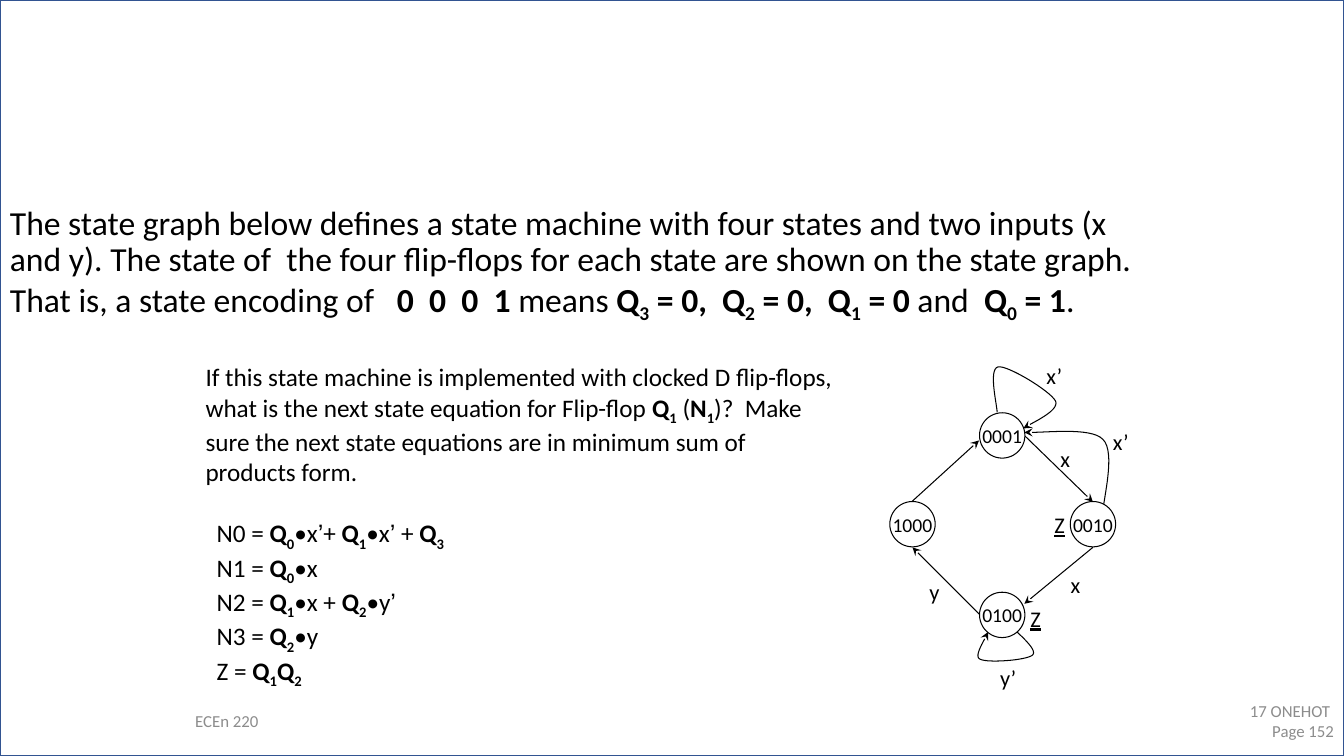
from itertools import groupby
from lxml import etree
from pptx import Presentation
from pptx.dml.color import RGBColor
from pptx.enum import shapes, text
from pptx.oxml import ns
from pptx.util import Inches, Pt

COLORS = {"ink": "000000", "paper": "FFFFFF", "footer": "8C8C8C", "frame": "325491"}
FONT, PRIME_FONT = "Calibri", "Arial"

# Markup: *bold*, and _ puts the next character in subscript
INTRO = ("The state graph below defines a state machine with four states and two inputs "
         "(x and y). The state of  the four flip-flops for each state are shown on the "
         "state graph. That is, a state encoding of   *0  0  0  1 *means "
         "*Q_3 = 0,  Q_2 = 0,  Q_1 = 0* and  *Q_0 = 1*.")
QUESTION = ("If this state machine is implemented with clocked D flip-flops, what is the next "
            "state equation for Flip-flop *Q_1* (*N_1*)?  Make sure the next state equations "
            "are in minimum sum of products form.")
EQUATIONS = [
    "N0 = *Q_0*•x’+ *Q_1*•x’ + *Q_3*",
    "N1 = *Q_0*•x",
    "N2 = *Q_1*•x + *Q_2*•y’",
    "N3 = *Q_2*•y",
    "Z = *Q_1Q_2*",
]

# State graph: circle centres, straight arrows, and Bezier arrows (start, then triples)
DIAMETER = 0.45
STATES = {"0001": (9.94, 4.32), "0010": (10.84, 5.2),
          "0100": (9.94, 6.1), "1000": (9.05, 5.2)}
ARROWS = [
    ((10.16, 4.32), (10.84, 4.98)),
    ((10.84, 5.43), (10.16, 5.99)),
    ((9.72, 6.1), (9.05, 5.43)),
    ((9.04, 4.98), (9.71, 4.37)),
]
CURVES = [
    [(10.07, 6.25), (10.1, 6.29), (10.3, 6.45), (10.24, 6.5), (10.18, 6.55),
     (9.8, 6.58), (9.72, 6.54), (9.65, 6.51), (9.78, 6.33), (9.8, 6.27)],
    [(10.94, 5.08), (10.94, 4.96), (11.07, 4.49), (10.94, 4.36),
     (10.82, 4.23), (10.33, 4.3), (10.16, 4.29)],
    [(9.89, 4.09), (9.89, 4.02), (9.8, 3.66), (9.9, 3.64), (9.99, 3.62),
     (10.42, 3.88), (10.47, 3.98), (10.51, 4.08), (10.22, 4.2), (10.15, 4.25)],
]
LABELS = [  # text, left, top, width
    ("x", 10.52, 5.62, 0.3), ("x", 10.42, 4.37, 0.3), ("y", 9.12, 5.69, 0.3),
    ("x’", 10.28, 3.54, 0.36), ("x’", 10.94, 4.2, 0.36), ("y’", 9.82, 6.54, 0.37),
    ("Z", 10.12, 5.95, 0.31), ("Z", 10.36, 5.02, 0.31),
]
FOOTERS = [  # lines, left, width, alignment
    (["ECEn 220"], 0, 4.5, text.PP_ALIGN.CENTER),
    (["17 ONEHOT ", "Page 152"], 10.33, 3, text.PP_ALIGN.RIGHT),
]

presentation = Presentation()
presentation.slide_width, presentation.slide_height = Inches(13.33), Inches(7.5)
slide = presentation.slides.add_slide(presentation.slide_layouts[6])


def rgb(name):
    return RGBColor.from_string(COLORS[name])


def style_font(paragraph, size, color="ink"):
    paragraph.font.name, paragraph.font.size = FONT, Pt(size)
    paragraph.font.color.rgb = rgb(color)


def add_rich_text(paragraph, markup, size, prime_font=FONT):
    """Write the markup as runs that share bold, subscript and font."""
    style_font(paragraph, size)
    styled, bold, subscript = [], False, False
    for char in markup:
        if char == "*":
            bold = not bold
        elif char == "_":
            subscript = True
        else:
            font_name = prime_font if char == "’" else FONT
            styled.append((char, (bold, subscript, font_name)))
            subscript = False
    for (bold, subscript, font_name), group in groupby(styled, key=lambda item: item[1]):
        run = paragraph.add_run()
        run.text = "".join(char for char, _ in group)
        run.font.bold = bold
        run.font.name = font_name
        if subscript:
            run.font._element.set("baseline", "-25000")


def add_text_frame(left, top, width, height, wrap=True):
    box = slide.shapes.add_textbox(Inches(left), Inches(top), Inches(width), Inches(height))
    box.text_frame.word_wrap = wrap
    return box.text_frame


def add_arrowhead(shape):
    shape.line.color.rgb, shape.line.width = rgb("ink"), Pt(0.75)
    etree.SubElement(shape.line._get_or_add_ln(), ns.qn("a:tailEnd"), type="stealth")


def bezier_points(controls, steps=16):
    points = [controls[0]]
    for first in range(0, len(controls) - 1, 3):
        a, b, c, d = controls[first:first + 4]
        for step in range(1, steps + 1):
            t = step / steps
            weights = ((1 - t) ** 3, 3 * t * (1 - t) ** 2, 3 * t * t * (1 - t), t ** 3)
            points.append(tuple(sum(w * p[axis] for w, p in zip(weights, (a, b, c, d)))
                                for axis in (0, 1)))
    return [(Inches(x), Inches(y)) for x, y in points]


# Page frame
frame = slide.shapes.add_shape(shapes.MSO_SHAPE.RECTANGLE, 0, 0,
                               presentation.slide_width, presentation.slide_height)
frame.shadow.inherit = False
frame.fill.background()
frame.line.color.rgb, frame.line.width = rgb("frame"), Pt(1)

# Introduction
intro = add_text_frame(0, 2, 11.5, 4.76).paragraphs[0]
intro.line_spacing, intro.space_before = 0.9, Pt(10)
add_rich_text(intro, INTRO, 24)

# Footers
for lines, left, width, alignment in FOOTERS:
    footer = add_text_frame(left, 6.95, width, 0.4)
    footer.vertical_anchor = text.MSO_ANCHOR.MIDDLE
    footer.text = "\n".join(lines)
    for paragraph in footer.paragraphs:
        paragraph.alignment = alignment
        style_font(paragraph, 12, "footer")

# Question and next state equations
question = add_text_frame(1.94, 3.54, 6.45, 3.13)
add_rich_text(question.paragraphs[0], QUESTION, 18)
for index, equation in enumerate(EQUATIONS):
    paragraph = question.add_paragraph()
    paragraph.space_before = Pt(0 if index else 22)
    paragraph._p.get_or_add_pPr().set("marL", str(Inches(0.11)))
    add_rich_text(paragraph, equation, 18, PRIME_FONT)

# Curved transitions
for controls in CURVES:
    start, *rest = bezier_points(controls)
    builder = slide.shapes.build_freeform(*start)
    builder.add_line_segments(rest, close=False)
    curve = builder.convert_to_shape()
    curve.shadow.inherit = False
    curve.fill.background()
    add_arrowhead(curve)

# Straight transitions
for start, end in ARROWS:
    arrow = slide.shapes.add_connector(shapes.MSO_CONNECTOR.STRAIGHT,
                                       *map(Inches, start + end))
    add_arrowhead(arrow)
    etree.SubElement(arrow._element.spPr, ns.qn("a:effectLst"))

# States
for code, (x, y) in STATES.items():
    state = slide.shapes.add_shape(
        shapes.MSO_SHAPE.OVAL, Inches(x - DIAMETER / 2), Inches(y - DIAMETER / 2),
        Inches(DIAMETER), Inches(DIAMETER))
    state.shadow.inherit = False
    state.fill.solid()
    state.fill.fore_color.rgb = rgb("paper")
    state.line.color.rgb, state.line.width = rgb("ink"), Pt(0.75)
    state.text_frame.text = code
    state.text_frame.word_wrap = False
    state.text_frame.vertical_anchor = text.MSO_ANCHOR.MIDDLE
    state.text_frame.paragraphs[0].alignment = text.PP_ALIGN.CENTER
    style_font(state.text_frame.paragraphs[0], 14)

# Transition inputs and state outputs
for caption, left, top, width in LABELS:
    label = add_text_frame(left, top, width, 0.37, wrap=False)
    label.text = caption
    style_font(label.paragraphs[0], 16)
    label.paragraphs[0].font.underline = caption == "Z"

presentation.save("out.pptx")
